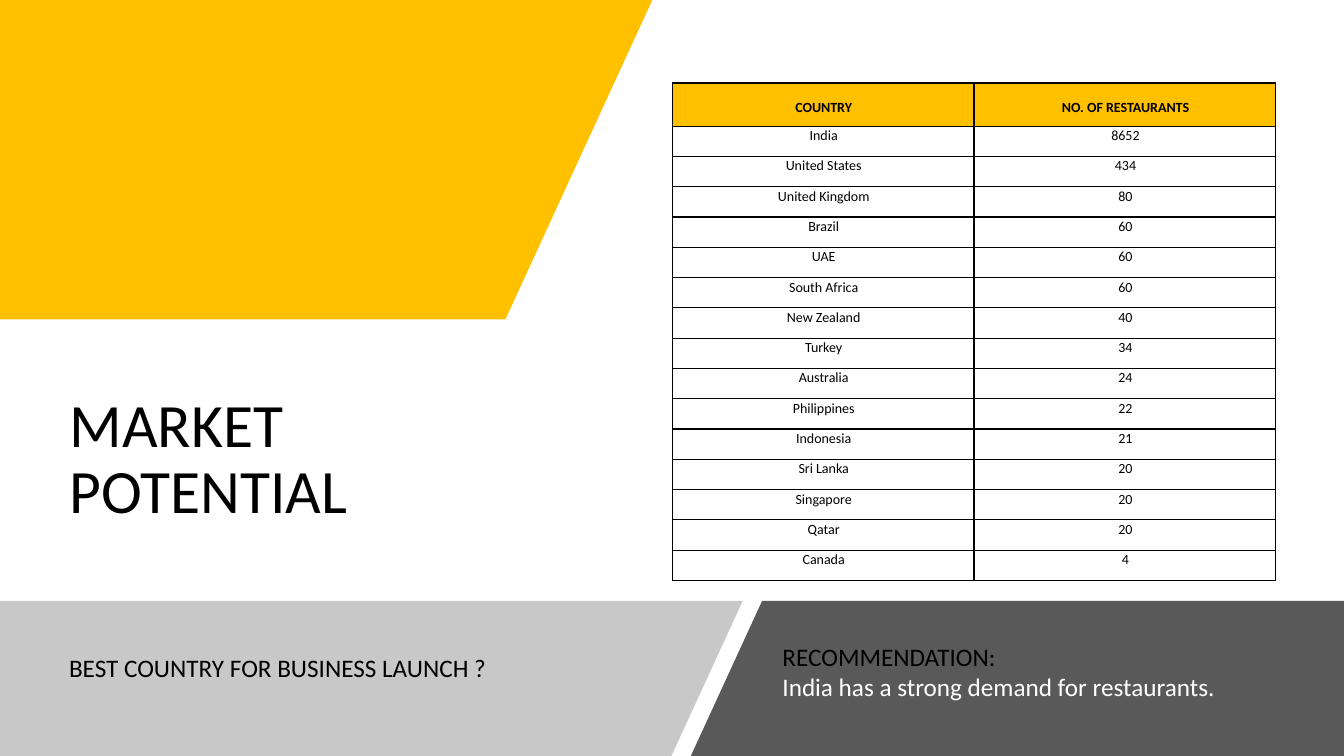
from lxml import etree
from pptx import Presentation
from pptx.dml.color import RGBColor
from pptx.enum.text import MSO_ANCHOR as Anchor, PP_ALIGN as Align
from pptx.oxml import parse_xml
from pptx.oxml.ns import nsdecls, qn
from pptx.util import Cm, Pt

BLACK = RGBColor(0x00, 0x00, 0x00)
WHITE = RGBColor(0xFF, 0xFF, 0xFF)
AMBER = RGBColor(0xFF, 0xC0, 0x00)
SILVER = RGBColor(0xB2, 0xB2, 0xB2)
CHARCOAL = RGBColor(0x59, 0x59, 0x59)

PAGE_WIDTH, PAGE_HEIGHT = Cm(33.87), Cm(19.05)
SLANT = 0.46
HEADER_HEIGHT = Cm(1.09)

RESTAURANTS = [
    ("COUNTRY", "NO. OF RESTAURANTS"),
    ("India", 8652),
    ("United States", 434),
    ("United Kingdom", 80),
    ("Brazil", 60),
    ("UAE", 60),
    ("South Africa", 60),
    ("New Zealand", 40),
    ("Turkey", 34),
    ("Australia", 24),
    ("Philippines", 22),
    ("Indonesia", 21),
    ("Sri Lanka", 20),
    ("Singapore", 20),
    ("Qatar", 20),
    ("Canada", 4),
]


def write(para, text, size=18, color=BLACK, bold=False, align=Align.LEFT, spacing=1.0):
    """Add formatted text to a paragraph."""
    para.alignment = align
    para.line_spacing = spacing
    span = para.add_run()
    span.text = text
    span.font.name = "Calibri"
    span.font.size = Pt(size)
    span.font.bold = bold
    span.font.color.rgb = color


def add_band(page, left, top, width, height, color, slant_left=False, slant_right=False, alpha=None):
    """Draw a filled band whose chosen sides lean by the common slant."""
    lean = int(height * SLANT)
    right, bottom = left + width, top + height
    builder = page.shapes.build_freeform(left + lean * slant_left, top, scale=1.0)
    builder.add_line_segments([
        (right, top),
        (right - lean * slant_right, bottom),
        (left, bottom),
    ])
    band = builder.convert_to_shape()
    band.shadow.inherit = False
    band.line.fill.background()
    band.fill.solid()
    band.fill.fore_color.rgb = color
    if alpha is not None:
        tint = band.fill._xPr.find(qn("a:solidFill"))[0]
        etree.SubElement(tint, qn("a:alpha"), val=str(alpha * 1000))


def add_title(page, left, top, width, height, text):
    """Place the slide title in its placeholder."""
    title = page.shapes.title
    title.left, title.top, title.width, title.height = left, top, width, height
    title.text_frame.word_wrap = True
    title.text_frame.vertical_anchor = Anchor.MIDDLE
    write(title.text_frame.paragraphs[0], text, size=44, spacing=0.9)


def add_note(page, left, top, width, height, lines):
    """Place a text box holding one paragraph per (text, color) line."""
    frame = page.shapes.add_textbox(left, top, width, height).text_frame
    frame.word_wrap = True
    for index, (text, color) in enumerate(lines):
        para = frame.add_paragraph() if index else frame.paragraphs[0]
        write(para, text, color=color)


def add_borders(cell):
    """Give a table cell thin black borders on all sides."""
    properties = cell._tc.get_or_add_tcPr()
    for index, side in enumerate(("lnL", "lnR", "lnT", "lnB")):
        properties.insert(index, parse_xml(
            f'<a:{side} {nsdecls("a")} w="{Pt(1)}"><a:solidFill>'
            f'<a:srgbClr val="{BLACK}"/></a:solidFill></a:{side}>'))


def add_restaurant_table(page, left, top, width, height):
    """Build the table of restaurant counts by country."""
    table = page.shapes.add_table(len(RESTAURANTS), 2, left, top, width, height).table
    for column in table.columns:
        column.width = width // 2
    row_height = (height - HEADER_HEIGHT) // (len(RESTAURANTS) - 1)
    for row_index, values in enumerate(RESTAURANTS):
        header = row_index == 0
        table.rows[row_index].height = HEADER_HEIGHT if header else row_height
        for cell, value in zip(table.rows[row_index].cells, values):
            cell.margin_left, cell.margin_right = Cm(0.13), Cm(0.1)
            cell.margin_top, cell.margin_bottom = Cm(0.03), Cm(0.25)
            cell.vertical_anchor = Anchor.BOTTOM if header else Anchor.TOP
            cell.fill.solid()
            cell.fill.fore_color.rgb = AMBER if header else WHITE
            add_borders(cell)
            write(cell.text_frame.paragraphs[0], str(value), size=10, bold=header, align=Align.CENTER)


def add_footer(page, left, top, width, height):
    """Draw the two slanted footer bands with the question and its answer."""
    add_band(page, left, top, Cm(18.72), height, SILVER, slant_right=True, alpha=70)
    answer_left = left + Cm(17.41)
    add_band(page, answer_left, top, left + width - answer_left, height, CHARCOAL, slant_left=True)
    add_note(page, left + Cm(19.47), top + Cm(0.89), Cm(13.64), Cm(1.8), [
        ("RECOMMENDATION:", BLACK),
        ("India has a strong demand for restaurants.", WHITE),
    ])
    add_note(page, left + Cm(1.49), top + Cm(1.17), Cm(12.42), Cm(1.02), [
        ("BEST COUNTRY FOR BUSINESS LAUNCH ?", BLACK),
    ])


def main():
    """Build and save the market potential slide."""
    deck = Presentation()
    deck.slide_width, deck.slide_height = PAGE_WIDTH, PAGE_HEIGHT
    page = deck.slides.add_slide(deck.slide_layouts[5])
    add_title(page, Cm(1.5), Cm(8.94), Cm(8.53), Cm(5.33), "MARKET POTENTIAL")
    add_band(page, 0, 0, Cm(16.44), Cm(8.05), AMBER, slant_right=True)
    add_restaurant_table(page, Cm(16.94), Cm(2.09), Cm(15.21), Cm(12.54))
    footer_top = Cm(15.14)
    add_footer(page, 0, footer_top, PAGE_WIDTH, PAGE_HEIGHT - footer_top)
    deck.save("out.pptx")


if __name__ == "__main__":
    main()
